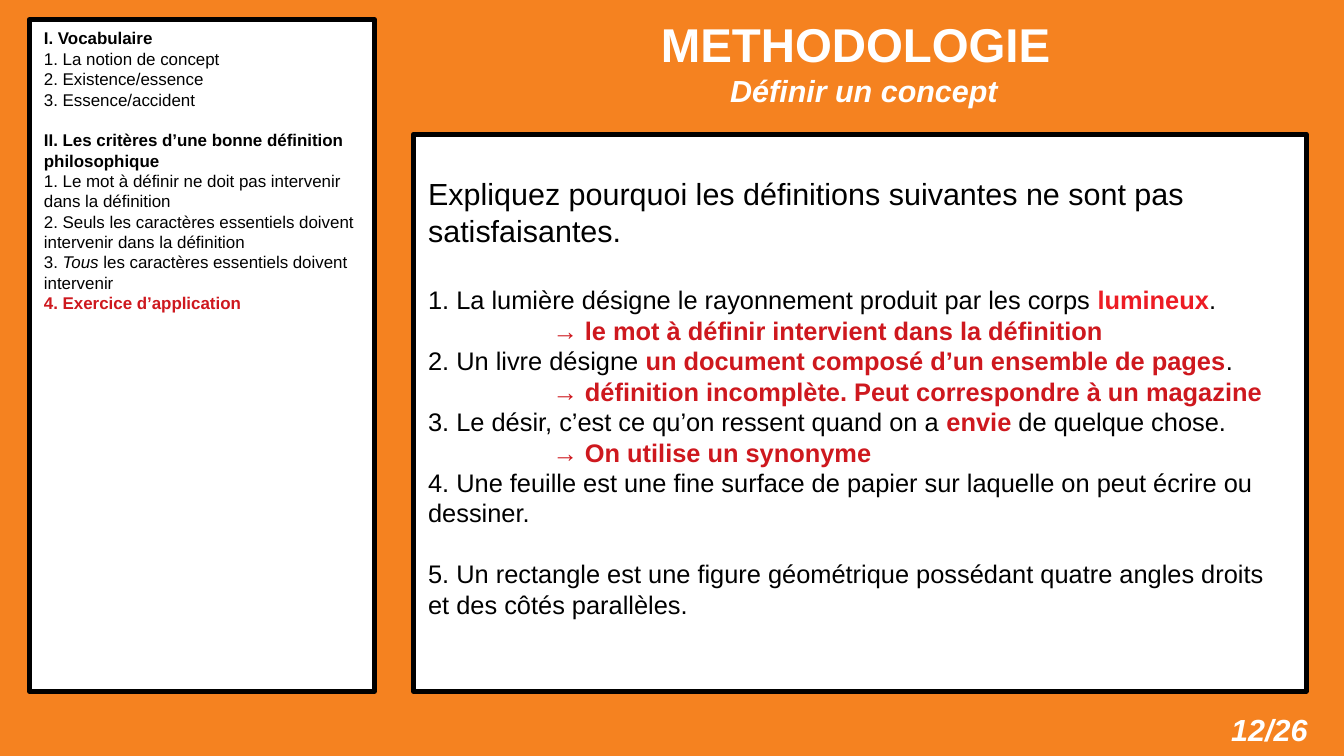
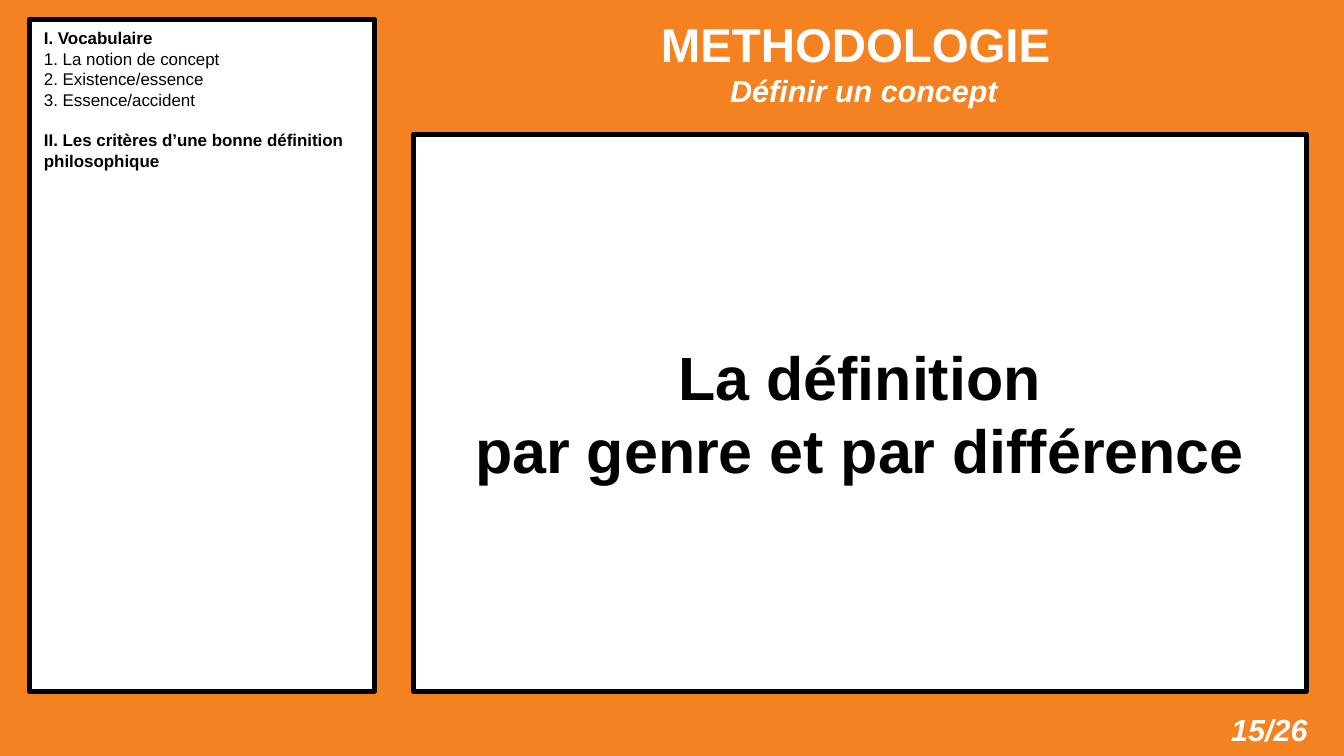
import pptx
import pptx.dml.color
import pptx.enum.text
import pptx.oxml
import pptx.oxml.ns
import pptx.util
from pptx.util import Inches

ORANGE, WHITE, BLACK = "F58220", "FFFFFF", "000000"
RED, BRIGHT_RED = "CE181E", "ED1C24"
ALIGN = pptx.enum.text.PP_ALIGN
ANCHOR = pptx.enum.text.MSO_ANCHOR

OUTLINE = [
    {"runs": [("I. Vocabulaire", {"bold": True})]},
    {"runs": [("1. La notion de concept", {})]},
    {"runs": [("2. Existence/essence", {})]},
    {"runs": [("3. Essence/accident", {})]},
    {"runs": [("II. Les critères d’une bonne définition philosophique", {"bold": True})], "before": 12},
]
CRITERIA = [
    {"runs": [("1. Le mot à définir ne doit pas intervenir dans la définition", {})]},
    {"runs": [("2. Seuls les caractères essentiels doivent intervenir dans la définition", {})]},
    {"runs": [("3. ", {}), ("Tous", {"italic": True}), (" les caractères essentiels doivent intervenir", {})]},
    {"runs": [("4. Exercice d’application", {"bold": True, "color": RED})]},
]


def rgb(value):
    """Return the colour for a hex string."""
    return pptx.dml.color.RGBColor.from_string(value)


def red(text, color=RED):
    """Return a bold red run."""
    return text, {"bold": True, "color": color}


def answer(text):
    """Return an indented answer paragraph."""
    return {"runs": [red("→ " + text)], "indent": 1.02}


class Deck:
    """Holds the course style and the current slide."""

    font = "Arial"

    def __init__(self):
        """Create the presentation with its orange background."""
        self.prs = pptx.Presentation()
        self.prs.slide_width, self.prs.slide_height = Inches(11.02), Inches(6.2)
        fill = self.prs.slide_master.background.fill
        fill.solid()
        fill.fore_color.rgb = rgb(ORANGE)

    def slide(self, number):
        """Add a slide with its title and page number."""
        self.s = self.prs.slides.add_slide(self.prs.slide_layouts[3])
        self.title()
        self.page_number(number)

    def place(self, sp, box, anchor, insets):
        """Position a shape and set up its text frame."""
        sp.left, sp.top, sp.width, sp.height = map(Inches, box)
        tf = sp.text_frame
        tf.word_wrap = True
        tf.auto_size = pptx.enum.text.MSO_AUTO_SIZE.NONE
        tf.vertical_anchor = anchor
        tf.margin_left, tf.margin_top, tf.margin_right, tf.margin_bottom = map(Inches, insets)
        return tf

    def set_text(self, tf, paragraphs, size, color=BLACK, align=ALIGN.LEFT):
        """Fill a text frame with formatted paragraphs."""
        for i, item in enumerate(paragraphs):
            p = tf.paragraphs[0] if i == 0 else tf.add_paragraph()
            pPr = p._p.get_or_add_pPr()
            pPr.set("marL", str(Inches(item.get("indent", 0))))
            pPr.set("indent", "0")
            pPr.append(pptx.oxml.parse_xml("<a:buNone %s/>" % pptx.oxml.ns.nsdecls("a")))
            p.alignment = align
            p.space_before = pptx.util.Pt(item.get("before", 0))
            for text, style in item["runs"]:
                if text == "\v":
                    p.add_line_break()
                    continue
                r = p.add_run()
                r.text = text
                r.font.name = self.font
                r.font.size = pptx.util.Pt(style.get("size", item.get("size", size)))
                r.font.bold = style.get("bold", False)
                r.font.italic = style.get("italic", False)
                r.font.color.rgb = rgb(style.get("color", color))

    def title(self):
        """Set the course title and subtitle."""
        tf = self.place(self.s.shapes.title, (3.39, 0, 7.32, 1.02), ANCHOR.MIDDLE, (0.1, 0.05, 0.1, 0.05))
        runs = [("METHODOLOGIE", {"size": 28, "bold": True}), (" ", {}), ("\v", {}),
                (" Définir un concept", {"bold": True, "italic": True})]
        self.set_text(tf, [{"runs": runs}], 18, WHITE, ALIGN.CENTER)

    def page_number(self, number):
        """Set the page number at the bottom right."""
        sp = self.s.shapes.add_textbox(0, 0, 0, 0)
        tf = self.place(sp, (9.76, 5.78, 1.06, 0.42), ANCHOR.TOP, (0.1, 0.05, 0.1, 0.05))
        runs = [(f"{number}/26", {"bold": True, "italic": True})]
        self.set_text(tf, [{"runs": runs}], 18, WHITE, ALIGN.RIGHT)

    def panel(self, index, box, anchor, bottom=0.07):
        """Frame a body placeholder in white and black."""
        sp = self.s.placeholders[index]
        sp.fill.solid()
        sp.fill.fore_color.rgb = rgb(WHITE)
        sp.line.color.rgb = rgb(BLACK)
        sp.line.width = pptx.util.Pt(2.83)
        return self.place(sp, box, anchor, (0.12, 0.07, 0.12, bottom))

    def outline(self, paragraphs):
        """Set the course outline in the left panel."""
        self.set_text(self.panel(1, (0.24, 0.16, 2.83, 5.51), ANCHOR.TOP), paragraphs, 10)

    def content(self, paragraphs, size, align=ALIGN.LEFT, bottom=0.07):
        """Set the main text in the right panel."""
        tf = self.panel(2, (3.39, 1.1, 7.32, 4.57), ANCHOR.MIDDLE, bottom)
        self.set_text(tf, paragraphs, size, align=align)


def main():
    """Build and save both slides."""
    deck = Deck()
    deck.slide(12)
    deck.outline(OUTLINE + CRITERIA)
    deck.content([
        {"runs": [("Expliquez pourquoi les définitions suivantes ne sont pas satisfaisantes.", {})], "size": 18},
        {"runs": [("1. La lumière désigne le rayonnement produit par les corps ", {}),
                  red("lumineux", BRIGHT_RED), (".", {})], "before": 21},
        answer("le mot à définir intervient dans la définition"),
        {"runs": [("2. Un livre désigne ", {}),
                  red("un document composé d’un ensemble de pages"), (".", {})]},
        answer("définition incomplète. Peut correspondre à un magazine"),
        {"runs": [("3. Le désir, c’est ce qu’on ressent quand on a ", {}),
                  red("envie"), (" de quelque chose.", {})]},
        answer("On utilise un synonyme"),
        {"runs": [("4. Une feuille est une fine surface de papier sur laquelle on peut écrire ou dessiner.", {})]},
        {"runs": [("5. Un rectangle est une figure géométrique possédant quatre angles droits "
                   "et des côtés parallèles.", {})], "before": 18},
    ], 15, bottom=0.32)

    deck.slide(15)
    deck.outline(OUTLINE)
    heading = {"bold": True}
    deck.content([{"runs": [("La définition", heading), ("\v", {}),
                            ("par genre et par différence", heading)]}], 36, ALIGN.CENTER)
    deck.prs.save("out.pptx")


if __name__ == "__main__":
    main()
